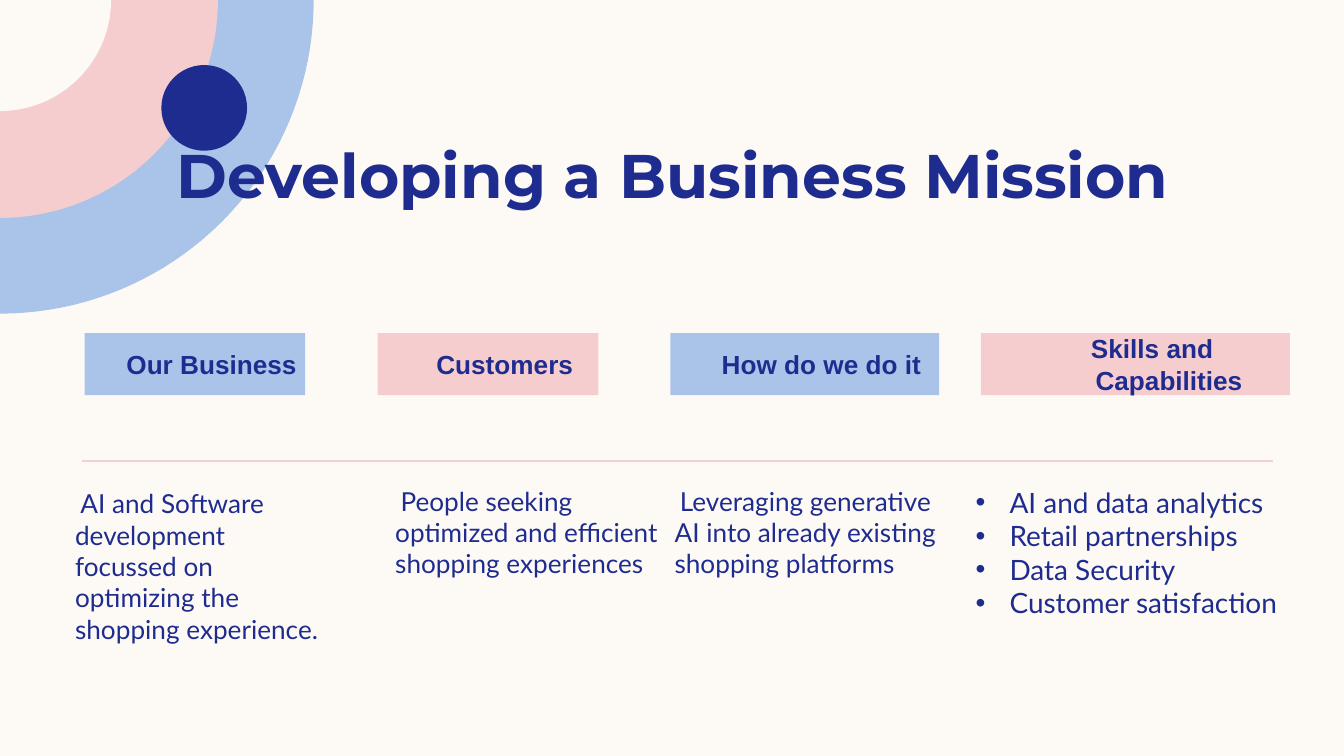
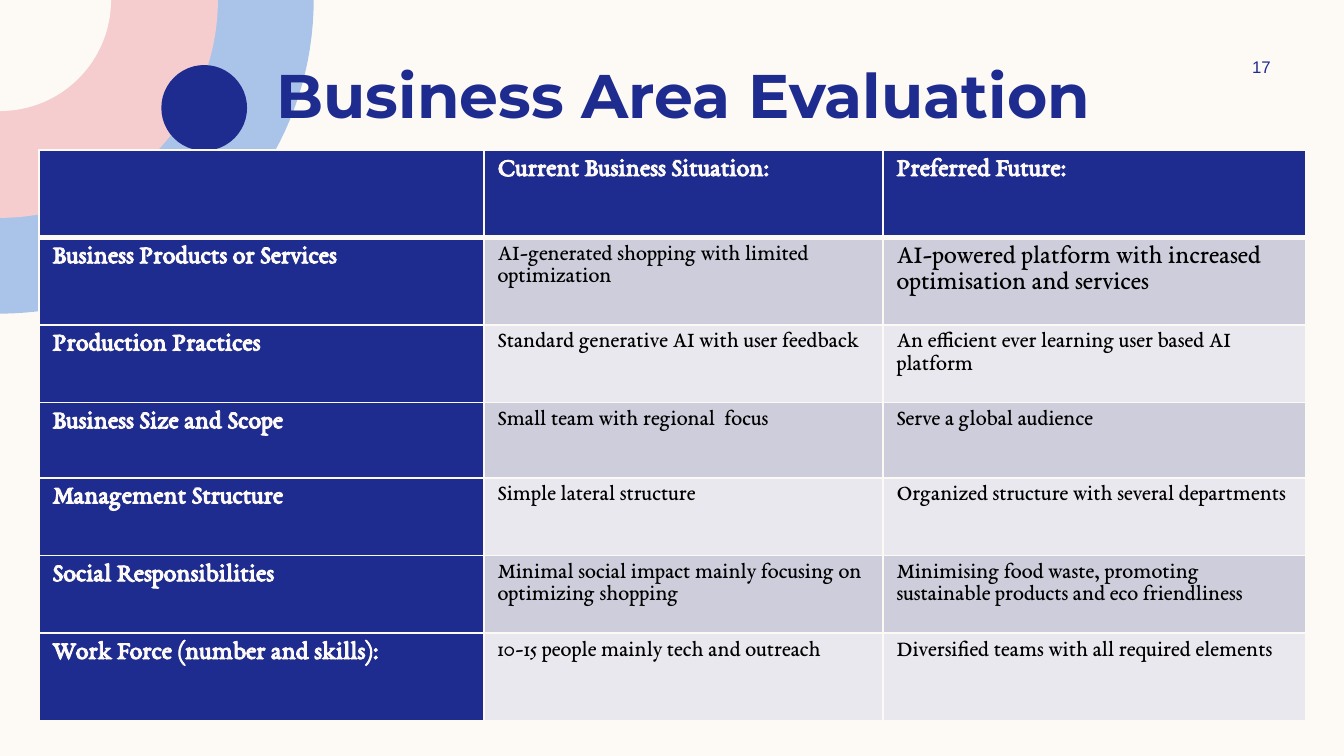
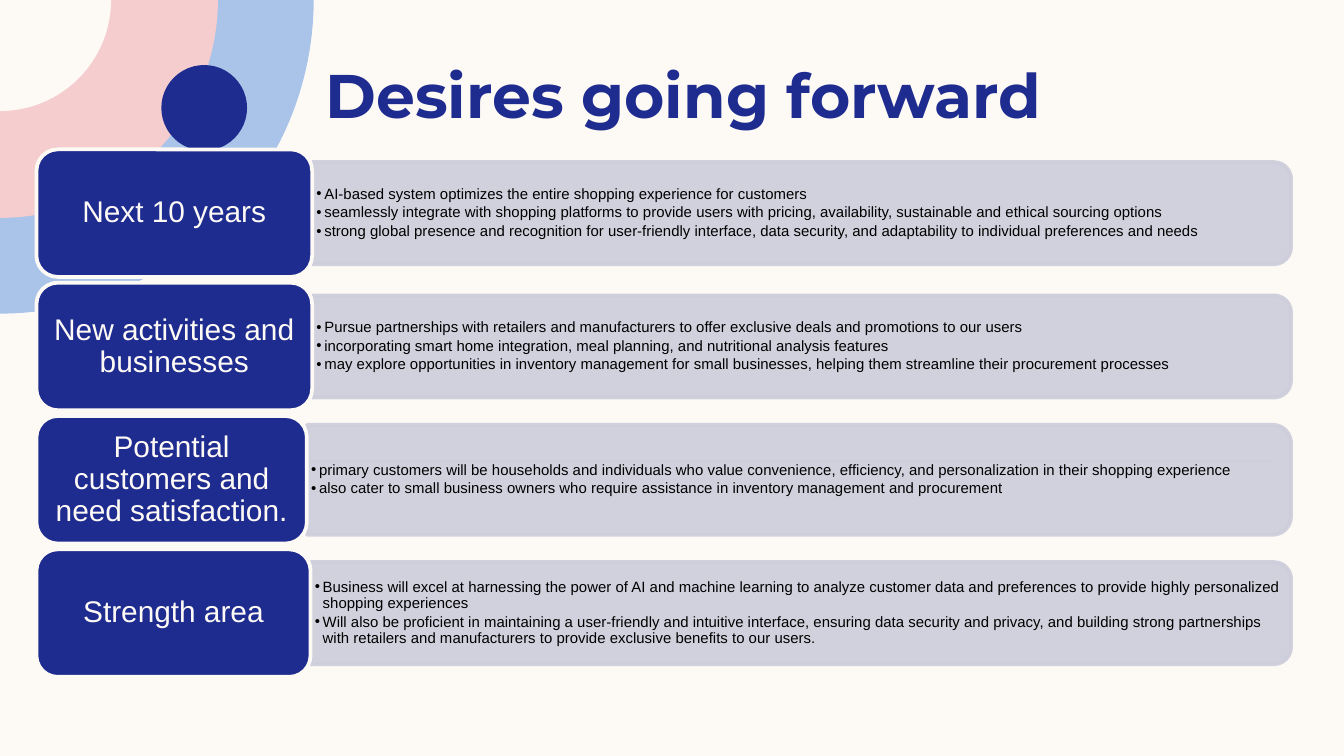
from dataclasses import dataclass
from math import cos, pi, sin
from typing import Any

from lxml import etree
from pptx import Presentation
from pptx import util as u
from pptx.dml.color import RGBColor
from pptx.enum import shapes, text
from pptx.oxml import ns
from pptx.slide import Slide

NAVY, BLUE, PINK, CREAM = "1F2C8F", "AAC3E8", "F5CDCE", "FDFAF6"
RULE, BLACK, GREY, PALE = "F1D0D0", "000000", "CDCDDB", "E8E8EE"
Kind = shapes.MSO_SHAPE
Align = text.PP_ALIGN
Anchor = text.MSO_ANCHOR


@dataclass
class Box:
    """A place on the slide, in centimetres."""
    x: float
    y: float
    w: float
    h: float

    def emu(self) -> list[u.Length]:
        return [u.Cm(v) for v in (self.x, self.y, self.w, self.h)]


@dataclass
class Topic:
    label: str
    head: Box
    tint: str
    lines: list[str]
    body: Box


@dataclass
class Goal:
    label: str
    width: float
    bar: float
    points: list[str]


# Shared helpers
def rgb(code: str) -> RGBColor:
    return RGBColor.from_string(code)


def add(parent: Any, tag: str, **attrs: str) -> Any:
    return etree.SubElement(parent, ns.qn(tag), attrs)


def paint(shape: Any, fill: str, line: str = "", width: float = 2) -> None:
    shape.shadow.inherit = False
    shape.fill.solid()
    shape.fill.fore_color.rgb = rgb(fill)
    if line:
        shape.line.color.rgb = rgb(line)
        shape.line.width = u.Pt(width)
    else:
        shape.line.fill.background()


def write(frame: Any, lines: list[str], *, size: float, font: str = "Arial",
          color: str = NAVY, bold: bool = False, align: Any = Align.LEFT,
          left: float = 0, first: float = 0, bullet: bool = False,
          space: float = 1, after: float = 0) -> None:
    """Fill a text frame; left and first are the indents in cm."""
    for i, line in enumerate(lines):
        para = frame.add_paragraph() if i else frame.paragraphs[0]
        props = para._p.get_or_add_pPr()
        props.set("marL", str(u.Cm(left)))
        props.set("indent", str(u.Cm(first)))
        if bullet:
            add(props, "a:buFont", typeface="Arial")
            add(props, "a:buChar", char="•")
        para.alignment = align
        para.line_spacing = space
        para.space_after = u.Pt(after)
        run = para.add_run()
        run.text = line
        run.font.size, run.font.name, run.font.bold = u.Pt(size), font, bold
        run.font.color.rgb = rgb(color)


def fit(frame: Any, side: float, edge: float, anchor: Any = Anchor.TOP) -> Any:
    frame.word_wrap = True
    frame.auto_size = text.MSO_AUTO_SIZE.NONE
    frame.margin_left = frame.margin_right = u.Cm(side)
    frame.margin_top = frame.margin_bottom = u.Cm(edge)
    frame.vertical_anchor = anchor
    return frame


def note(slide: Slide, box: Box, lines: list[str], *, side: float = 0,
         edge: float = 0.1, anchor: Any = Anchor.TOP, **style: Any) -> None:
    area = slide.shapes.add_textbox(*box.emu())
    write(fit(area.text_frame, side, edge, anchor), lines, **style)


# Corner rings, dot, rule and title
def disc(slide: Slide, radius: float, fill: str) -> None:
    """Quarter disc around the top left corner."""
    steps = 40
    arc = [(u.Cm(radius * cos(i * pi / 2 / steps)),
            u.Cm(radius * sin(i * pi / 2 / steps))) for i in range(steps + 1)]
    path = slide.shapes.build_freeform(0, 0)
    path.add_line_segments(arc, close=True)
    paint(path.convert_to_shape(), fill)


def start(deck: Any, title: str, box: Box) -> Slide:
    slide = deck.slides.add_slide(deck.slide_layouts[5])
    for radius, fill in ((5.93, BLUE), (4.12, PINK), (2.1, CREAM)):
        disc(slide, radius, fill)
    dot = slide.shapes.add_shape(Kind.OVAL, *Box(3.05, 1.23, 1.62, 1.62).emu())
    paint(dot, NAVY)
    rule = slide.shapes.add_connector(
        shapes.MSO_CONNECTOR.STRAIGHT,
        u.Cm(1.55), u.Cm(8.71), u.Cm(24.05), u.Cm(8.71))
    rule.line.color.rgb = rgb(RULE)
    rule.line.width = u.Pt(1)
    add(rule._element.spPr, "a:effectLst")
    head = slide.shapes.title
    head.left, head.top, head.width, head.height = box.emu()
    slide.shapes._spTree.append(head._element)
    write(fit(head.text_frame, 0.18, 0.1), [title], size=33,
          font="Montserrat", bold=True, align=Align.CENTER)
    return slide


HIGH = Box(1.8, 0.97, 22.23, 1.6)

# Business mission
TOPICS = [
    Topic("Our Business", Box(1.6, 6.3, 4.17, 1.17), BLUE,
          ["AI and Software development focussed on optimizing the "
           "shopping experience."], Box(0.15, 9.12, 6.15, 4.37)),
    Topic("Customers", Box(7.14, 6.3, 4.17, 1.17), PINK,
          ["People seeking optimized and efficient shopping experiences"],
          Box(6.2, 9.07, 6.27, 3.63)),
    Topic("How do we do it", Box(12.67, 6.3, 5.08, 1.17), BLUE,
          ["Leveraging generative AI into already existing shopping "
           "platforms"], Box(11.48, 9.07, 6.27, 4.62)),
    Topic("Skills and Capabilities", Box(18.54, 6.3, 5.84, 1.17), PINK,
          ["AI and data analytics", "Retail partnerships", "Data Security",
           "Customer satisfaction"], Box(17.81, 9.07, 6.6, 4.62)),
]


def mission(deck: Any) -> None:
    slide = start(deck, "Developing a Business Mission",
                  Box(1.6, 2.49, 22.23, 1.6))
    for topic in TOPICS:
        tag = slide.shapes.add_shape(Kind.RECTANGLE, *topic.head.emu())
        paint(tag, topic.tint)
        write(fit(tag.text_frame, 0, 0, Anchor.MIDDLE), [topic.label],
              size=14, bold=True, align=Align.CENTER, left=1.27, first=-0.64)
        many = len(topic.lines) > 1
        note(slide, topic.body, topic.lines, font="Lato", left=1.27,
             size=15 if many else 14, first=-0.64 if many else 0.1,
             bullet=many)


# Business areas
AREAS = [
    ("", "Current Business Situation:", "Preferred Future:"),
    ("Business Products or Services",
     "AI-generated shopping with limited optimization",
     "AI-powered platform with increased optimisation and services"),
    ("Production Practices", "Standard generative AI with user feedback",
     "An efficient ever learning user based AI platform"),
    ("Business Size and Scope", "Small team with regional  focus",
     "Serve a global audience"),
    ("Management Structure", "Simple lateral structure",
     "Organized structure with several departments"),
    ("Social Responsibilities",
     "Minimal social impact mainly focusing on optimizing shopping",
     "Minimising food waste, promoting sustainable products and eco "
     "friendliness"),
    ("Work Force (number and skills):",
     "10-15 people mainly tech and outreach",
     "Diversified teams with all required elements"),
]
COLS = [8.41, 7.54, 7.98]
ROWS = [1.65, 1.65, 1.47, 1.42, 1.47, 1.47, 1.65]


def edge(cell: Any, side: str, width: float) -> None:
    line = add(cell._tc.get_or_add_tcPr(), f"a:ln{side}", w=str(u.Pt(width)))
    add(add(line, "a:solidFill"), "a:srgbClr", val=CREAM)


def areas(deck: Any) -> None:
    slide = start(deck, "Business Area Evaluation", HIGH)
    note(slide, Box(22.81, 0.97, 2.06, 0.58), ["17"], size=9, side=0.18,
         anchor=Anchor.MIDDLE, align=Align.CENTER)
    box = Box(0.74, 2.84, sum(COLS), sum(ROWS))
    grid = slide.shapes.add_table(len(ROWS), len(COLS), *box.emu()).table
    grid.horz_banding = False
    for col, width in zip(grid.columns, COLS):
        col.width = u.Cm(width)
    for r, (row, height) in enumerate(zip(AREAS, ROWS)):
        grid.rows[r].height = u.Cm(height)
        for c, words in enumerate(row):
            cell = grid.cell(r, c)
            head = r == 0 or c == 0
            for side in "LRTB":
                heavy = (r, side) in ((0, "B"), (1, "T"))
                edge(cell, side, 3 if heavy else 1)
            cell.fill.solid()
            cell.fill.fore_color.rgb = rgb(
                NAVY if head else GREY if r % 2 else PALE)
            if words:
                write(cell.text_frame, [words], font="EB Garamond",
                      size=14 if head or (r, c) == (1, 2) else 12,
                      color=CREAM if head else BLACK, bold=head)


# Desires
GOALS = [
    Goal("Next 10 years", 5.21, 1.93, [
        "AI-based system optimizes the entire shopping experience for "
        "customers",
        "seamlessly integrate with shopping platforms to provide users with "
        "pricing, availability, sustainable and ethical sourcing options",
        "strong global presence and recognition for user-friendly interface, "
        "data security, and adaptability to individual preferences and "
        "needs"]),
    Goal("New activities and businesses", 5.21, 1.93, [
        "Pursue partnerships with retailers and manufacturers to offer "
        "exclusive deals and promotions to our users",
        "incorporating smart home integration, meal planning, and "
        "nutritional analysis features",
        "may explore opportunities in inventory management for small "
        "businesses, helping them streamline their procurement processes"]),
    Goal("Potential customers and need satisfaction.", 5.11, 2.08, [
        "primary customers will be households and individuals who value "
        "convenience, efficiency, and personalization in their shopping "
        "experience",
        "also cater to small business owners who require assistance in "
        "inventory management and procurement"]),
    Goal("Strength area", 5.18, 1.93, [
        "Business will excel at harnessing the power of AI and machine "
        "learning to analyze customer data and preferences to provide highly "
        "personalized shopping experiences",
        "Will also be proficient in maintaining a user-friendly and "
        "intuitive interface, ensuring data security and privacy, and "
        "building strong partnerships with retailers and manufacturers to "
        "provide exclusive benefits to our users."]),
]
LEFT, RIGHT, FIRST, STEP, TALL = 0.69, 24.4, 4.03, 2.52, 2.41


def desires(deck: Any) -> None:
    slide = start(deck, "Desires going forward", HIGH)
    for i, goal in enumerate(GOALS):
        mid = FIRST + i * STEP
        x = LEFT + goal.width
        span = RIGHT - x
        # Bar: an upright shape turned so its round end faces right
        turned = Box(x + (span - goal.bar) / 2, mid - span / 2, goal.bar, span)
        bar = slide.shapes.add_shape(Kind.ROUND_2_SAME_RECTANGLE,
                                     *turned.emu())
        bar.rotation = 90
        paint(bar, GREY, GREY)
        for tone in bar._element.spPr.iter(ns.qn("a:srgbClr")):
            add(tone, "a:alpha", val="90000")
        high = goal.bar - 0.2
        note(slide, Box(x, mid - high / 2, span - 0.1, high), goal.points,
             side=0.08, edge=0.05, anchor=Anchor.MIDDLE, size=8, color=BLACK,
             left=0.15, first=-0.15, bullet=True, space=0.9, after=1.4)
        # Label
        box = Box(LEFT, mid - TALL / 2, goal.width, TALL)
        pill = slide.shapes.add_shape(Kind.ROUNDED_RECTANGLE, *box.emu())
        paint(pill, NAVY, CREAM)
        write(fit(pill.text_frame, 0.18, 0.08, Anchor.MIDDLE), [goal.label],
              size=16, color=CREAM, align=Align.CENTER, space=0.9)


def main() -> None:
    deck = Presentation()
    deck.slide_width, deck.slide_height = u.Cm(25.4), u.Cm(14.29)
    back = deck.slide_master.background.fill
    back.solid()
    back.fore_color.rgb = rgb(CREAM)
    mission(deck)
    areas(deck)
    desires(deck)
    deck.save("out.pptx")


if __name__ == "__main__":
    main()
